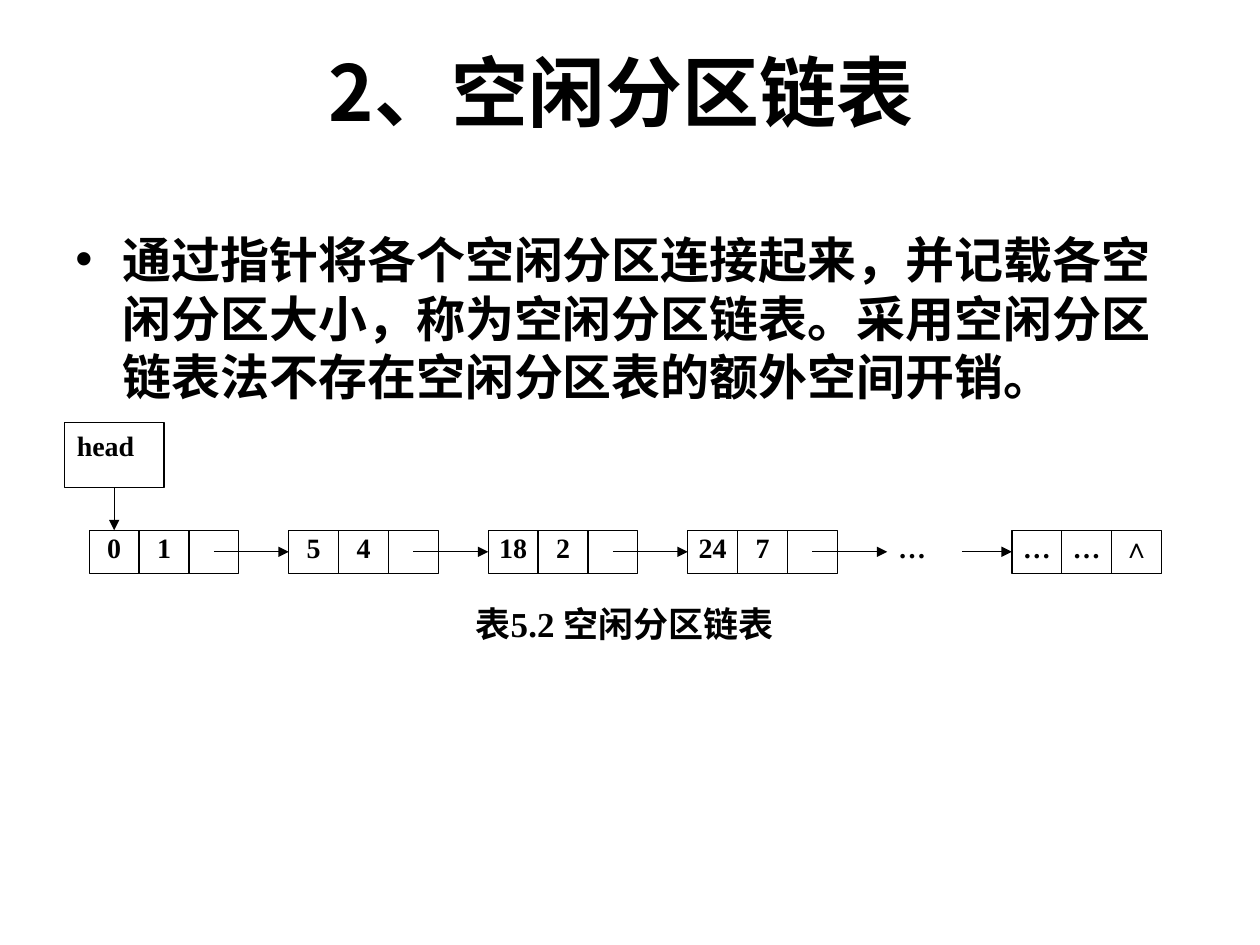
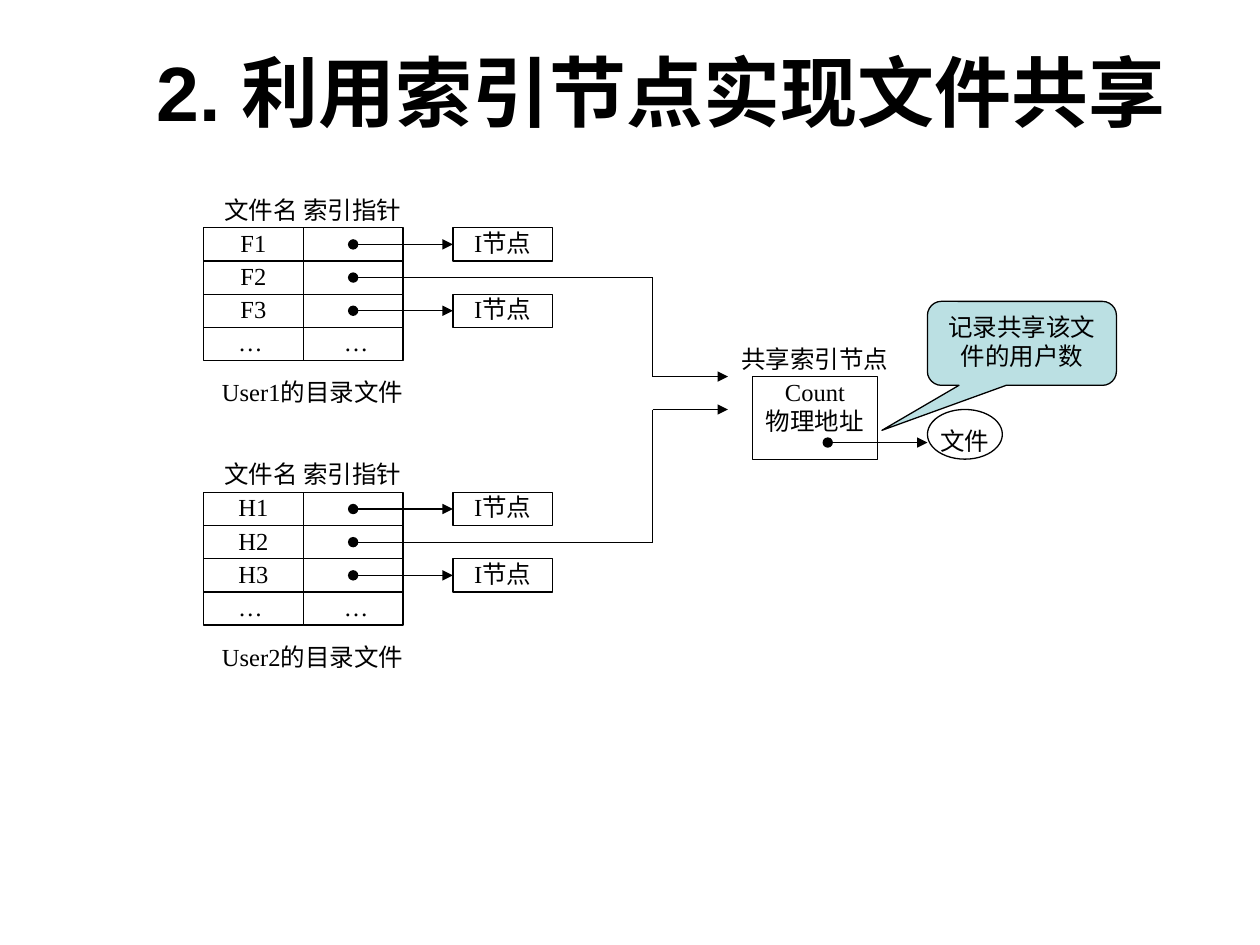
from lxml import etree
from pptx import Presentation
from pptx.dml.color import RGBColor
from pptx.enum import shapes, text
from pptx.oxml import ns
from pptx.util import Pt

BLACK = "000000"
CALLOUT_FILL = "BBE0E3"
SERIF = "Times New Roman"
SANS = "Arial"
CJK = "Noto Sans CJK SC"
LEADING = 1.2
NO_INSETS = (0, 0, 0, 0)
BOX_INSETS = (7.2, 3.6, 7.2, 3.6)

LIST_TOP, LIST_CELL, LIST_ROW, NODE_PITCH = 303, 28.5, 24.6, 114
DIR_COL, DIR_ROW = 57, 18.95


def color(hex_code):
    return RGBColor.from_string(hex_code)


def add_xml(parent, tag, **attributes):
    return etree.SubElement(parent, ns.qn(tag), **attributes)


def write(shape, content, size=14, font=SERIF, bold=False, align="CENTER",
          anchor="TOP", insets=NO_INSETS, bullet=None, indent=0):
    frame = shape.text_frame
    frame.word_wrap = True
    frame.vertical_anchor = text.MSO_ANCHOR[anchor]
    (frame.margin_left, frame.margin_top,
     frame.margin_right, frame.margin_bottom) = map(Pt, insets)
    for number, line in enumerate(content.split("\n")):
        paragraph = frame.add_paragraph() if number else frame.paragraphs[0]
        paragraph.alignment = text.PP_ALIGN[align]
        paragraph.line_spacing = Pt(round(size * LEADING, 1))
        run = paragraph.add_run()
        run.text = line
        run.font.size = Pt(size)
        run.font.bold = bold
        run.font.name = font
        run.font.color.rgb = color(BLACK)
        add_xml(run.font._element, "a:ea", typeface=CJK)
        if bullet:
            properties = paragraph._p.get_or_add_pPr()
            properties.set("marL", str(Pt(indent)))
            properties.set("indent", str(-Pt(indent)))
            add_xml(properties, "a:buFont", typeface=SANS)
            add_xml(properties, "a:buChar", char=bullet)


def add_label(slide, content, left, top, width, height, **style):
    label = slide.shapes.add_textbox(Pt(left), Pt(top), Pt(width), Pt(height))
    write(label, content, **style)


def add_title(slide, content, left, width, font):
    add_label(slide, content, left, 6.6, width, 90, size=44, font=font,
              bold=True, anchor="MIDDLE", insets=BOX_INSETS)


def add_box(slide, left, top, width, height, content="", kind="RECTANGLE",
            fill=None, **style):
    box = slide.shapes.add_shape(shapes.MSO_SHAPE[kind], Pt(left), Pt(top),
                                 Pt(width), Pt(height))
    box.shadow.inherit = False
    if fill:
        box.fill.solid()
        box.fill.fore_color.rgb = color(fill)
    else:
        box.fill.background()
    box.line.color.rgb = color(BLACK)
    box.line.width = Pt(0.75)
    if content:
        write(box, content, **style)
    return box


def add_line(slide, x1, y1, x2, y2, dot=False, arrow=False):
    line = slide.shapes.add_connector(shapes.MSO_CONNECTOR.STRAIGHT,
                                      Pt(x1), Pt(y1), Pt(x2), Pt(y2))
    line.line.color.rgb = color(BLACK)
    line.line.width = Pt(0.75)
    outline = line.line._get_or_add_ln()
    if dot:
        add_xml(outline, "a:headEnd", type="oval")
    if arrow:
        add_xml(outline, "a:tailEnd", type="triangle")
    add_xml(line._element.spPr, "a:effectLst")


def add_list_node(slide, left, cells):
    for column, content in enumerate(cells):
        add_box(slide, left + column * LIST_CELL, LIST_TOP, LIST_CELL, LIST_ROW,
                content, size=16, bold=True)


def add_directory(slide, left, top, names, owner, trunk_x):
    pointer_x = left + 1.5 * DIR_COL
    inode_left = left + 2.5 * DIR_COL
    add_label(slide, "文件名 索引指针 ", left, top - DIR_ROW, 128, DIR_ROW)
    for row, name in enumerate(names + ["… "]):
        row_top = top + row * DIR_ROW
        middle = row_top + DIR_ROW / 2
        is_last = row == len(names)
        add_box(slide, left, row_top, DIR_COL, DIR_ROW, name)
        add_box(slide, left + DIR_COL, row_top, DIR_COL, DIR_ROW,
                " …" if is_last else "")
        if is_last:
            continue
        if row == 1:
            add_line(slide, pointer_x, middle, trunk_x, middle, dot=True)
        else:
            add_box(slide, inode_left, row_top, DIR_COL, DIR_ROW, "I节点")
            add_line(slide, pointer_x, middle, inode_left, middle,
                     dot=True, arrow=True)
    add_label(slide, f"{owner}的目录文件 ", left, top + 4.5 * DIR_ROW, 128, DIR_ROW)
    return top + 1.5 * DIR_ROW


def build_free_list(slide):
    add_title(slide, "2、空闲分区链表 ", 36, 648, CJK)
    add_label(slide, "通过指针将各个空闲分区连接起来，并记载各空闲分区大小，"
              "称为空闲分区链表。采用空闲分区链表法不存在空闲分区表的额外空间开销。",
              36, 127.5, 648, 116, size=28, font=CJK, bold=True, align="LEFT",
              insets=BOX_INSETS, bullet="•", indent=27)
    add_label(slide, "表5.2 空闲分区链表", 51, 340.6, 612, 40, size=20, bold=True,
              insets=BOX_INSETS)

    first_left, last_left = 51, 578.2
    middle = LIST_TOP + LIST_ROW / 2
    partitions = [("0", "1"), ("5", "4"), ("18", "2"), ("24", "7")]
    for number, (start, size) in enumerate(partitions):
        left = first_left + number * NODE_PITCH
        add_list_node(slide, left, (start, size, ""))
        add_line(slide, left + 2.5 * LIST_CELL, middle, left + NODE_PITCH, middle,
                 arrow=True)
    add_label(slide, "…", first_left + len(partitions) * NODE_PITCH, LIST_TOP,
              LIST_CELL, LIST_ROW, size=16, bold=True)
    add_line(slide, last_left - LIST_CELL, middle, last_left, middle, arrow=True)
    add_list_node(slide, last_left, ("…", "…", "∧"))

    add_box(slide, 36.8, 241.6, 57, 37, "head", size=16, bold=True, align="LEFT",
            insets=BOX_INSETS)
    add_line(slide, 65.3, 278.6, 65.3, LIST_TOP, arrow=True)


def build_shared_inode(slide):
    add_title(slide, "2. 利用索引节点实现文件共享 ", 82, 602, SANS)
    trunk_x, arrow_x = 373, 416
    directories = [(130.2, ["F1", "F2", "F3"], "User1", 215.2),
                   (281.4, ["H1", "H2", "H3"], "User2", 234)]
    for top, names, owner, target_y in directories:
        shared_y = add_directory(slide, 116.3, top, names, owner, trunk_x)
        add_line(slide, trunk_x, target_y, trunk_x, shared_y)
        add_line(slide, trunk_x, target_y, arrow_x, target_y, arrow=True)

    add_label(slide, "共享索引节点", 401.7, 196.3, 128, DIR_ROW)
    add_box(slide, 430, 215.2, 71.4, 47.4, "Count\n物理地址")
    add_line(slide, 473, 252.9, 530, 252.9, dot=True, arrow=True)
    add_box(slide, 530, 234, 42.8, 28.4, kind="OVAL")
    add_label(slide, "文件", 530, 243.4, 42.8, DIR_ROW)
    callout = add_box(slide, 530, 172.2, 108, 48, "记录共享该文件的用户数",
                      kind="ROUNDED_RECTANGULAR_CALLOUT", fill=CALLOUT_FILL,
                      insets=BOX_INSETS)
    for index, value in enumerate((-0.741, 1.036, 0.167)):
        callout.adjustments[index] = value


def main():
    deck = Presentation()
    deck.slide_width, deck.slide_height = Pt(720), Pt(540)
    for build in (build_free_list, build_shared_inode):
        build(deck.slides.add_slide(deck.slide_layouts[6]))
    deck.save("out.pptx")


if __name__ == "__main__":
    main()
